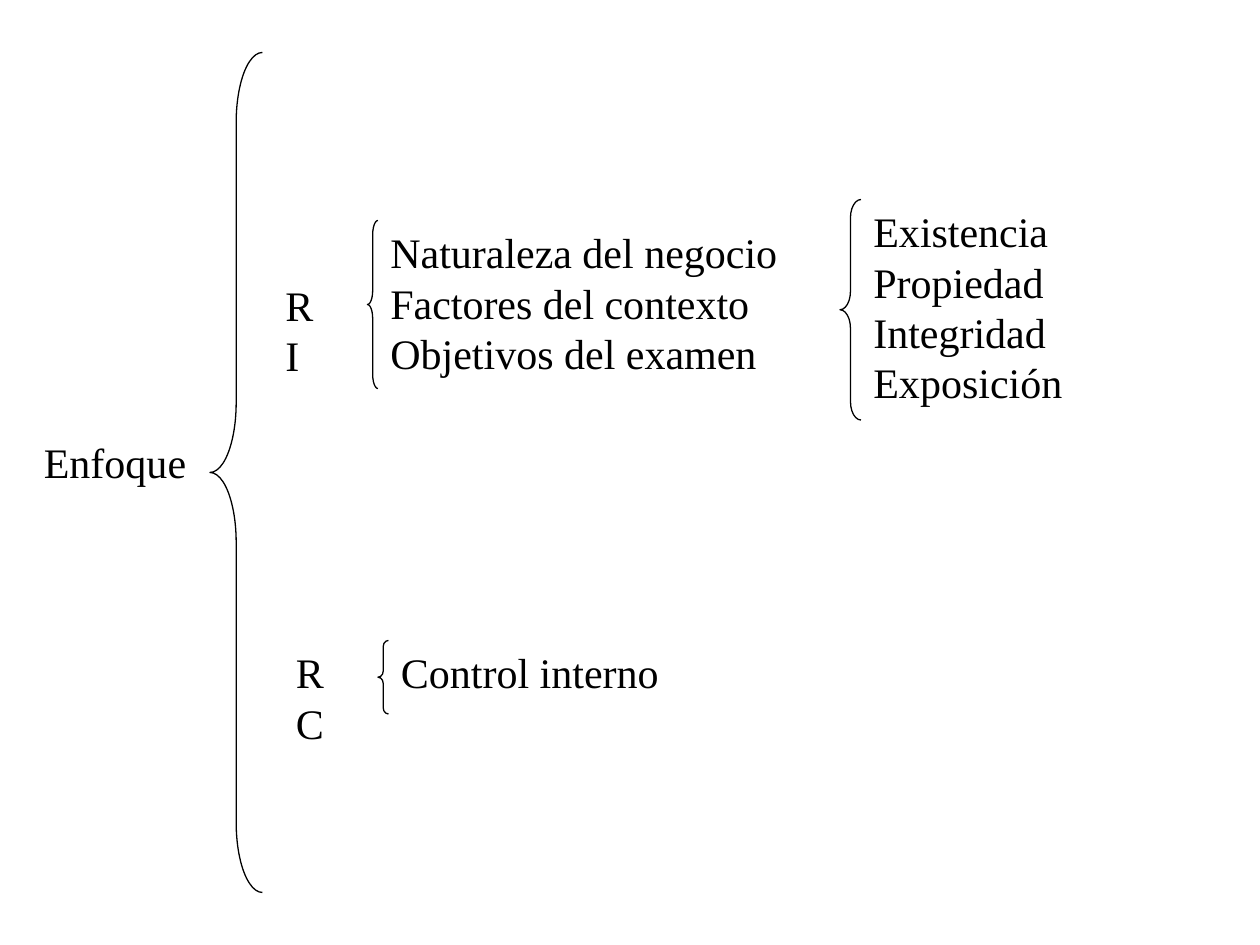
import pptx
import pptx.util
import pptx.dml.color
import pptx.enum.shapes
import pptx.enum.text

Pt = pptx.util.Pt

# Content: lines of text, left, top, width, wrapping
LABELS = [
    (["Enfoque"], 18, 246, 102, True),
    (["RI"], 156, 156, 38, False),
    (["RC"], 162, 366, 46, False),
    (["Naturaleza del negocio", "Factores del contexto", "Objetivos del examen"],
     216, 126, 235.5, False),
    (["Existencia", "Propiedad", "Integridad", "Exposición"], 492, 114, 122.5, False),
    (["Control interno"], 222, 366, 161.5, False),
]
# Braces: left, top, width, height
BRACES = [
    (120, 30, 30, 480),
    (210, 126, 6, 96),
    (216, 366, 6, 42),
    (480, 114, 12, 126),
]
COLORS = {"background": "FFFFFF", "ink": "000000"}
FONT = {"name": "Times New Roman", "size": Pt(24)}
FRAME = {
    "margin_left": Pt(7.2), "margin_right": Pt(7.2),
    "margin_top": Pt(3.6), "margin_bottom": Pt(3.6),
    "vertical_anchor": pptx.enum.text.MSO_ANCHOR.TOP,
    "auto_size": pptx.enum.text.MSO_AUTO_SIZE.SHAPE_TO_FIT_TEXT,
}
LINE_HEIGHT = 28.8
CURVE_SHARE = 1 / 12  # height of each brace curve, as a share of the brace


def color(name):
    return pptx.dml.color.RGBColor.from_string(COLORS[name])


def apply(target, values):
    for name, value in values.items():
        setattr(target, name, value)


def add_label(page, lines, left, top, width, wrap):
    height = 7.2 + LINE_HEIGHT * len(lines)
    box = page.shapes.add_textbox(Pt(left), Pt(top), Pt(width), Pt(height))
    frame = box.text_frame
    apply(frame, {**FRAME, "word_wrap": wrap})
    for index, line in enumerate(lines):
        para = frame.add_paragraph() if index else frame.paragraphs[0]
        para.line_spacing = Pt(LINE_HEIGHT)
        span = para.add_run()
        span.text = line
        apply(span.font, FONT)
        span.font.color.rgb = color("ink")


def add_brace(page, left, top, width, height):
    brace = page.shapes.add_shape(pptx.enum.shapes.MSO_SHAPE.LEFT_BRACE,
                                  Pt(left), Pt(top), Pt(width), Pt(height))
    brace.adjustments[0] = CURVE_SHARE * height / width
    brace.shadow.inherit = False
    brace.fill.background()
    brace.line.color.rgb = color("ink")
    brace.line.width = Pt(0.75)


def main():
    deck = pptx.Presentation()
    apply(deck, {"slide_width": Pt(720), "slide_height": Pt(540)})
    page = deck.slides.add_slide(deck.slide_layouts[6])
    page.background.fill.solid()
    page.background.fill.fore_color.rgb = color("background")

    # Labels, then the braces that group them
    for label in LABELS:
        add_label(page, *label)
    for brace in BRACES:
        add_brace(page, *brace)
    deck.save("out.pptx")


if __name__ == "__main__":
    main()
